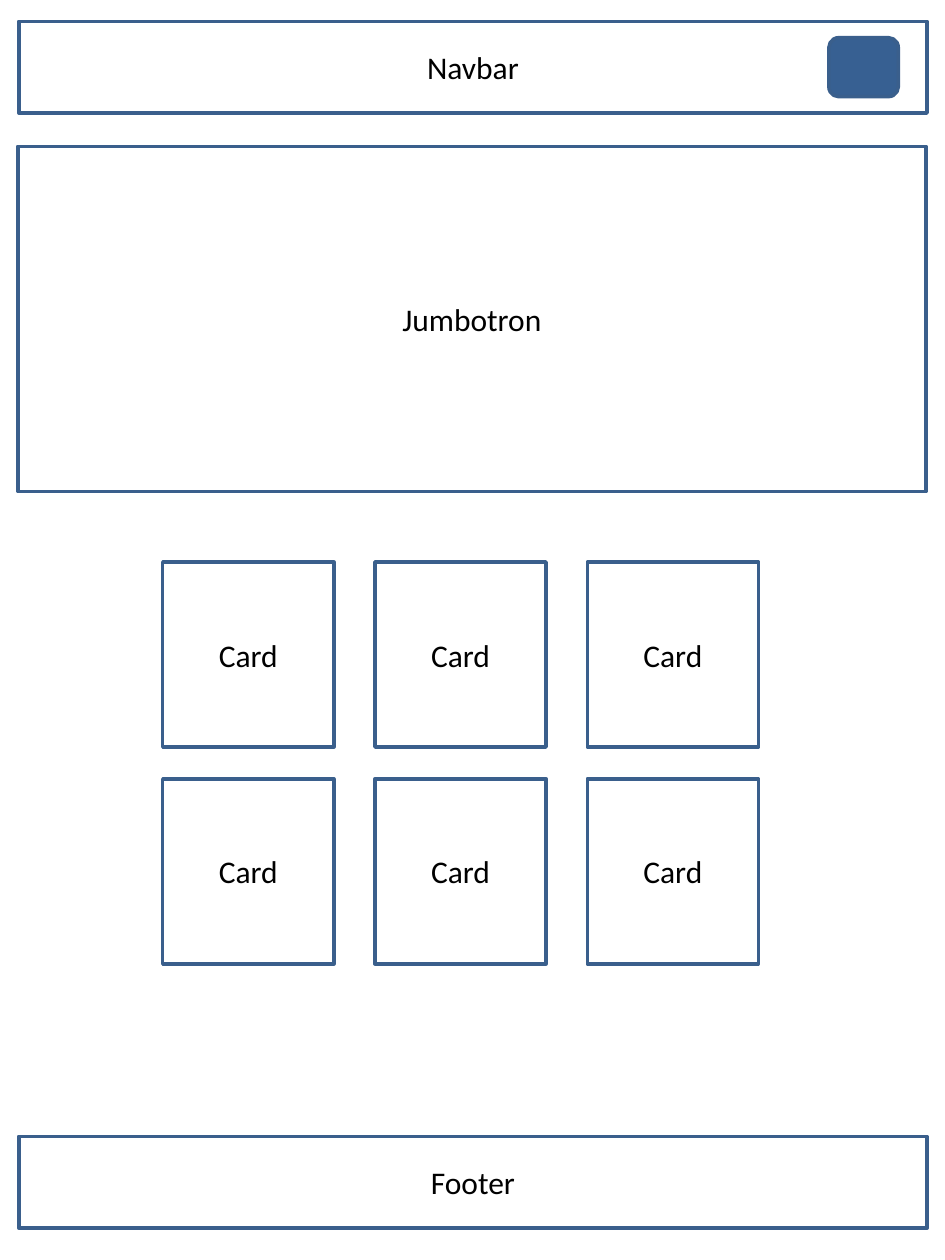
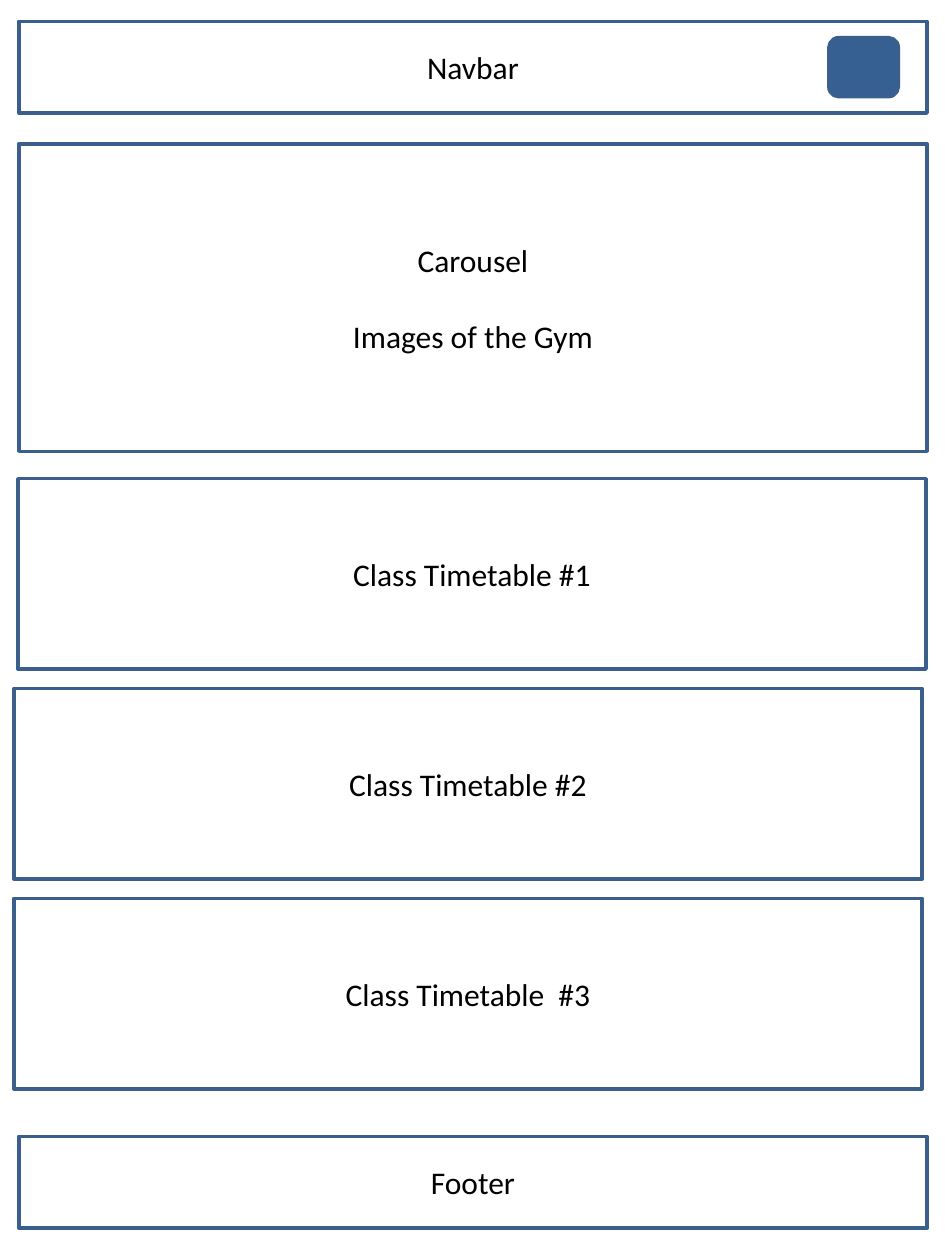
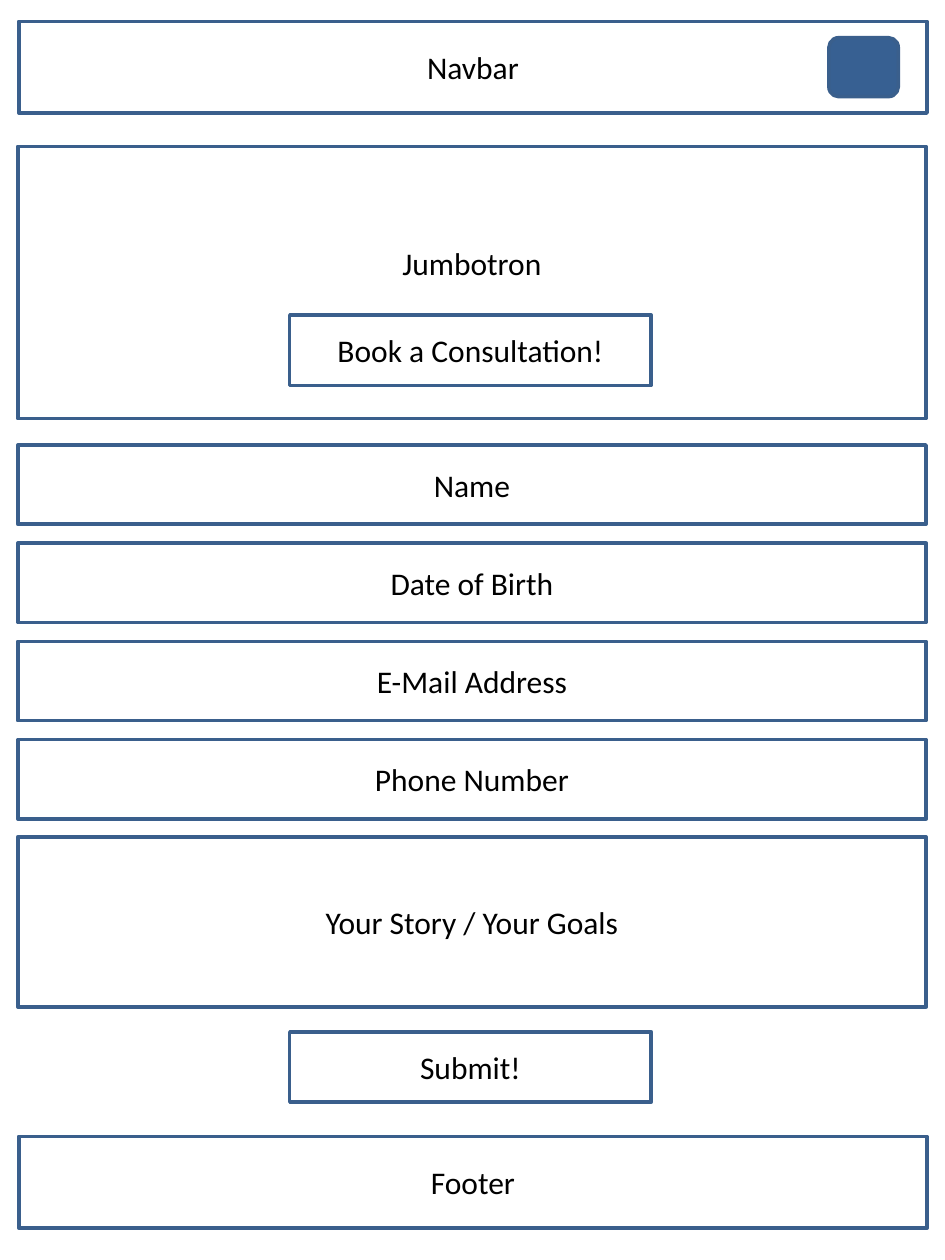
import pptx
import pptx.util
import pptx.dml.color
import pptx.enum.shapes
import pptx.enum.text

Cm = pptx.util.Cm
Pt = pptx.util.Pt
SHAPES = pptx.enum.shapes.MSO_SHAPE


def colour(hex_string):
    return pptx.dml.color.RGBColor.from_string(hex_string)


class Wireframe:
    """Holds the style and the slide being drawn; lengths are in cm."""
    FONT = "Calibri"
    SIZE = 18
    INK = "000000"
    OUTLINE = "3A5F8C"
    MENU_FILL = "376092"
    LEFT = 0.36
    BAR_LEFT = 0.38
    WIDTH = 18.31
    BAR_HEIGHT = 1.85

    def __init__(self):
        self.presentation = pptx.Presentation()
        self.presentation.slide_width = Cm(19.05)
        self.presentation.slide_height = Cm(25.4)
        self.slide = None

    def page(self):
        """Start a slide with the shared navbar, menu button and footer."""
        blank_layout = self.presentation.slide_layouts[6]
        self.slide = self.presentation.slides.add_slide(blank_layout)
        self.band(0.43, self.BAR_HEIGHT, "Navbar", left=self.BAR_LEFT)
        self.band(22.91, self.BAR_HEIGHT, "Footer", left=self.BAR_LEFT)
        self.outline(SHAPES.ROUNDED_RECTANGLE, 16.71, 0.76, 1.4, 1.19,
                     self.MENU_FILL)

    def outline(self, kind, left, top, width, height, fill=None):
        shape = self.slide.shapes.add_shape(
            kind, Cm(left), Cm(top), Cm(width), Cm(height))
        shape.shadow.inherit = False
        if fill:
            shape.fill.solid()
            shape.fill.fore_color.rgb = colour(fill)
        else:
            shape.fill.background()
        shape.line.color.rgb = colour(self.OUTLINE)
        shape.line.width = Pt(2)
        return shape

    def box(self, left, top, width, height, *lines):
        """Outlined rectangle with centred lines, one line apart."""
        shape = self.outline(SHAPES.RECTANGLE, left, top, width, height)
        frame = shape.text_frame
        frame.word_wrap = True
        frame.vertical_anchor = pptx.enum.text.MSO_ANCHOR.MIDDLE
        for index, line in enumerate(lines):
            paragraph = frame.add_paragraph() if index else frame.paragraphs[0]
            paragraph.alignment = pptx.enum.text.PP_ALIGN.CENTER
            if index:
                paragraph.space_before = Pt(22)
            run = paragraph.add_run()
            run.text = line
            run.font.name = self.FONT
            run.font.size = Pt(self.SIZE)
            run.font.color.rgb = colour(self.INK)
        return shape

    def band(self, top, height, *lines, left=LEFT):
        return self.box(left, top, self.WIDTH, height, *lines)

    def button(self, top, label):
        return self.box(5.84, top, 7.29, 1.42, label)


wireframe = Wireframe()

# Home page: jumbotron and a grid of cards
wireframe.page()
wireframe.band(2.95, 6.96, "Jumbotron")
for row in range(2):
    for column in range(3):
        wireframe.box(3.28 + 4.28 * column, 11.33 + 4.37 * row,
                      3.45, 3.73, "Card")

# Classes page: carousel and timetables
wireframe.page()
wireframe.band(2.9, 6.2, "Carousel", "Images of the Gym",
               left=wireframe.BAR_LEFT)
timetables = [("Class Timetable #1", 0.36),
              ("Class Timetable #2", 0.28),
              ("Class Timetable  #3", 0.28)]
for index, (label, left) in enumerate(timetables):
    wireframe.band(9.65 + 4.23 * index, 3.84, label, left=left)

# Consultation page: jumbotron with a button, then the form
wireframe.page()
jumbotron = wireframe.band(2.95, 5.49, "Jumbotron")
jumbotron.text_frame.margin_bottom = Cm(0.9)  # lifts the label off the button
wireframe.button(6.35, "Book a Consultation!")
fields = ["Name", "Date of Birth", "E-Mail Address", "Phone Number"]
for index, label in enumerate(fields):
    wireframe.band(8.97 + 1.98 * index, 1.6, label)
wireframe.band(16.87, 3.43, "Your Story / Your Goals")
wireframe.button(20.8, "Submit!")

wireframe.presentation.save("out.pptx")
